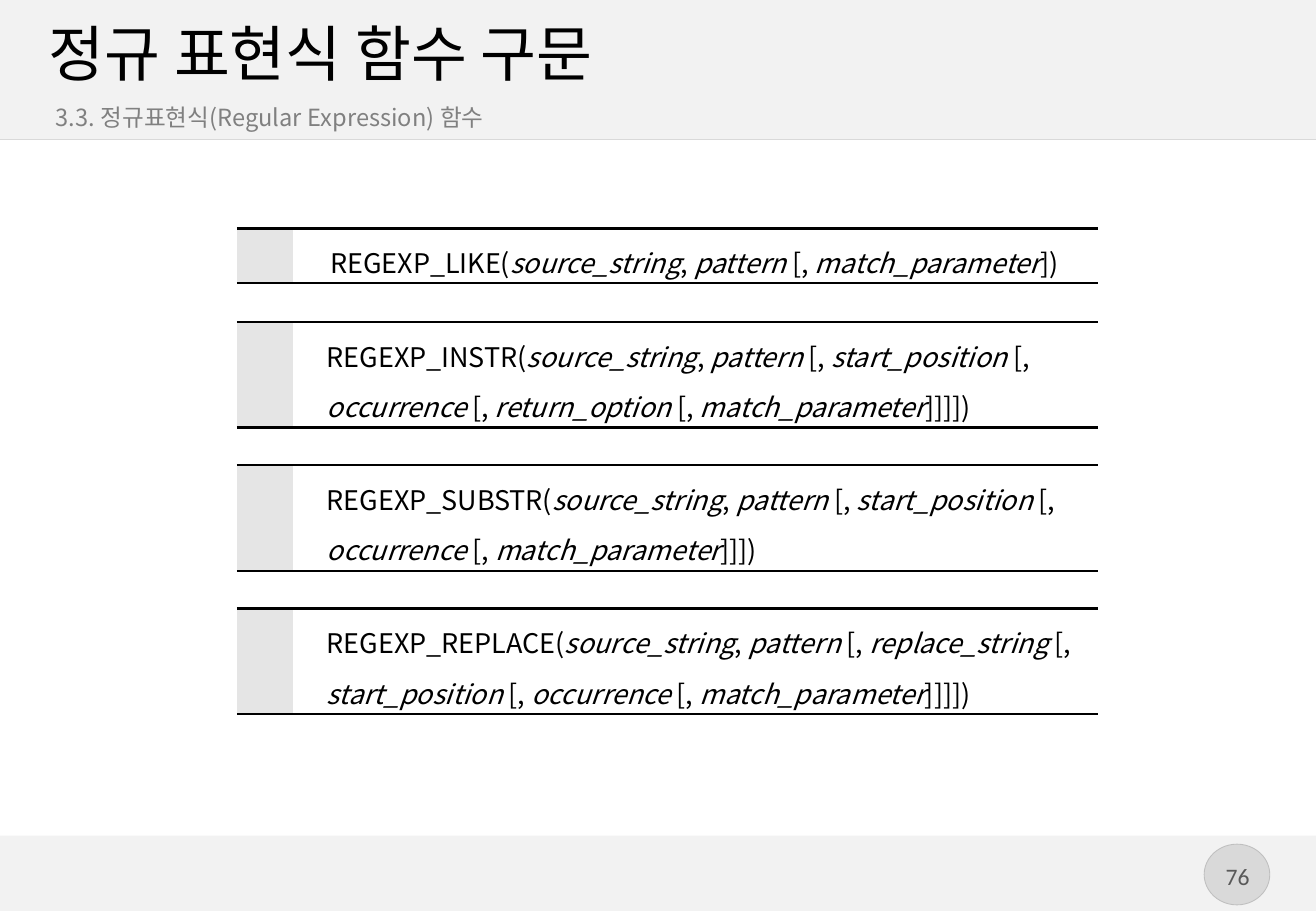
from lxml import etree
from pptx import Presentation
from pptx import util as u
from pptx.dml.color import RGBColor
from pptx.enum import shapes, text
from pptx.oxml.ns import qn

PX = 9144
W, H = 1083, 750
FONT = "Noto Sans CJK KR"
BLACK = RGBColor(0x00, 0x00, 0x00)
BAND = RGBColor(0xF2, 0xF2, 0xF2)
RULE = RGBColor(0xD9, 0xD9, 0xD9)
RING = RGBColor(0xBF, 0xBF, 0xBF)
MARK = RGBColor(0xE5, 0xE5, 0xE5)
MUTED = RGBColor(0x80, 0x80, 0x80)
NUMBER = RGBColor(0x59, 0x59, 0x59)

TABLE_X, COLS = 195, (46, 663)
SYNTAX = [
    (188, 45, 11, "REGEXP_LIKE(*source_string*, *pattern *[, *match_parameter*])"),
    (265, 87, 8, "REGEXP_INSTR(*source_string*, *pattern *[, *start_position* [, "
                 "*occurrence* [, *return_option* [, *match_parameter*]]]])"),
    (383, 87, 8, "REGEXP_SUBSTR(*source_string*, *pattern *[, *start_position* [, "
                 "*occurrence *[, *match_parameter*]]])"),
    (501, 87, 8, "REGEXP_REPLACE(*source_string*, *pattern *[, *replace_string* [, "
                 "*start_position* [, *occurrence* [, *match_parameter*]]]])"),
]


def px(*values):
    return [u.Emu(v * PX) for v in values]


def set_font(p, size, color, name=FONT):
    p.font.size = u.Pt(size)
    p.font.color.rgb = color
    p.font.name = name
    etree.SubElement(p._p.pPr.find(qn("a:defRPr")), qn("a:ea"), typeface=name)


def set_margins(obj, left, top, right, bottom):
    obj.margin_left, obj.margin_top, obj.margin_right, obj.margin_bottom = px(
        left, top, right, bottom)


def add_block(s, kind, box, fill, line=None):
    sp = s.shapes.add_shape(kind, *px(*box))
    sp.shadow.inherit = False
    sp.fill.solid()
    sp.fill.fore_color.rgb = fill
    if line is None:
        sp.line.fill.background()
    else:
        sp.line.color.rgb = line
        sp.line.width = u.Pt(0.5)


def add_rule(s, y):
    c = s.shapes.add_connector(shapes.MSO_CONNECTOR.STRAIGHT, *px(0, y, W, y))
    c.line.color.rgb = RULE
    c.line.width = u.Pt(0.75)
    etree.SubElement(c._element.spPr, qn("a:effectLst"))


def add_label(s, box, words, size, color, margins, name=FONT, align=None, wrap=True):
    tf = s.shapes.add_textbox(*px(*box)).text_frame
    tf.word_wrap = wrap
    tf.vertical_anchor = text.MSO_ANCHOR.MIDDLE
    set_margins(tf, *margins)
    p = tf.paragraphs[0]
    p.text = words
    p.alignment = align
    set_font(p, size, color, name)


def set_borders(cell):
    tcPr = cell._tc.get_or_add_tcPr()
    for i, side in enumerate("LRTB"):
        ln = etree.Element(qn(f"a:ln{side}"))
        if side in "TB":
            ln.set("w", str(u.Pt(1.7)))
            fill = etree.SubElement(ln, qn("a:solidFill"))
            etree.SubElement(fill, qn("a:srgbClr"), val=str(BLACK))
        else:
            etree.SubElement(ln, qn("a:noFill"))
        tcPr.insert(i, ln)


def add_syntax(s, y, height, inset, syntax):
    table = s.shapes.add_table(1, 2, *px(TABLE_X, y, sum(COLS), height)).table
    table.first_row = table.horz_banding = False
    for col, width in zip(table.columns, px(*COLS)):
        col.width = width
    mark, body = table.cell(0, 0), table.cell(0, 1)
    mark.fill.solid()
    mark.fill.fore_color.rgb = MARK
    body.fill.background()
    for cell in (mark, body):
        set_borders(cell)
    set_margins(body, inset, 2, inset, 2)
    body.vertical_anchor = text.MSO_ANCHOR.MIDDLE
    p = body.text_frame.paragraphs[0]
    p.line_spacing = 1.3
    pPr = p._p.get_or_add_pPr()
    pPr.set("marL", str(20 * PX))
    pPr.set("indent", "0")
    for i, part in enumerate(syntax.split("*")):
        r = p.add_run()
        r.text = part
        if i % 2:
            r.font.italic = True
    set_font(p, 16, BLACK)


def main():
    prs = Presentation()
    prs.slide_width, prs.slide_height = px(W, H)
    s = prs.slides.add_slide(prs.slide_layouts[6])
    rect, oval = shapes.MSO_SHAPE.RECTANGLE, shapes.MSO_SHAPE.OVAL
    add_block(s, rect, (0, 688, W, 62), BAND)
    add_block(s, oval, (991, 695, 54, 50), RULE, RING)
    add_label(s, (997, 704, 43, 34), "76", 14, NUMBER, (10, 5, 10, 5),
              "Calibri", text.PP_ALIGN.CENTER, False)
    add_block(s, rect, (0, 0, W, 115), BAND)
    add_rule(s, 115)
    add_label(s, (40, 13, 1005, 60), "정규 표현식 함수 구문", 36, BLACK, (0, 0, 0, 0))
    add_label(s, (38, 84, 1007, 24), "3.3. 정규표현식(Regular Expression) 함수",
              14, MUTED, (8, 5, 10, 5))
    for row in SYNTAX:
        add_syntax(s, *row)
    prs.save("out.pptx")


if __name__ == "__main__":
    main()
